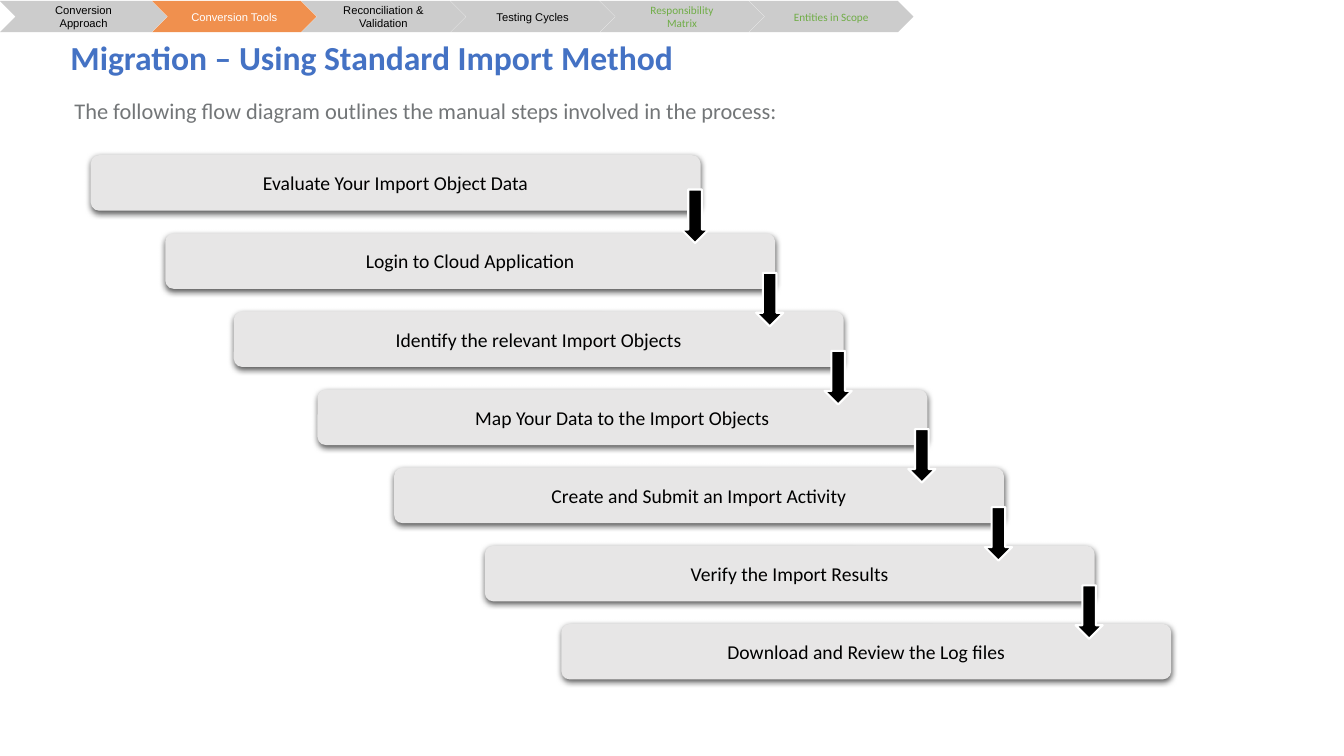
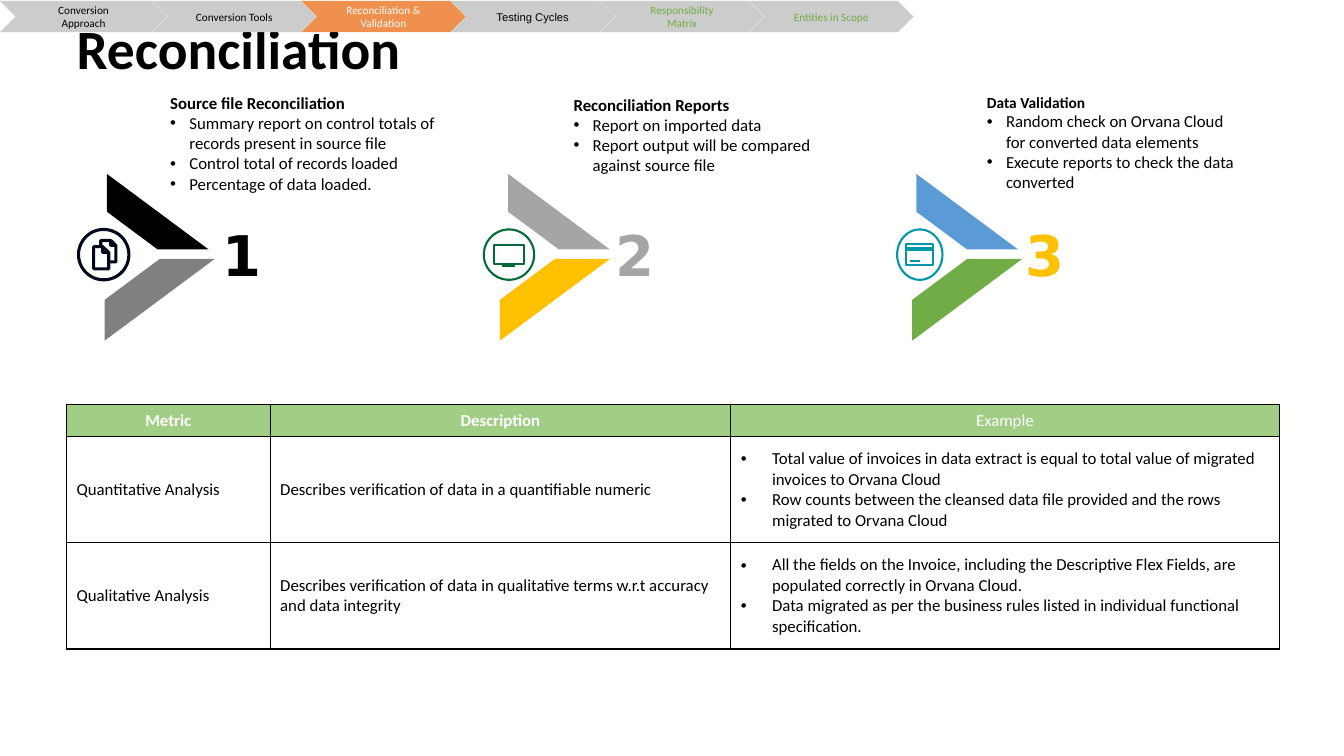
from dataclasses import dataclass

from lxml import etree
from pptx import Presentation
from pptx.dml.color import RGBColor
from pptx.enum.shapes import MSO_SHAPE
from pptx.enum.text import MSO_ANCHOR, MSO_AUTO_SIZE, PP_ALIGN
from pptx.oxml.ns import qn
from pptx.util import Pt

CHEVRON, STRIPE, OVAL = MSO_SHAPE.CHEVRON, MSO_SHAPE.DIAGONAL_STRIPE, MSO_SHAPE.OVAL
ROUNDED, DOWN_ARROW = MSO_SHAPE.ROUNDED_RECTANGLE, MSO_SHAPE.DOWN_ARROW
TOP, MIDDLE = MSO_ANCHOR.TOP, MSO_ANCHOR.MIDDLE
LEFT, CENTER, JUSTIFY = PP_ALIGN.LEFT, PP_ALIGN.CENTER, PP_ALIGN.JUSTIFY
NO_AUTOFIT = MSO_AUTO_SIZE.NONE


@dataclass(frozen=True)
class Theme:
    """Colours, fonts and type sizes of the deck."""
    black: str = "000000"
    white: str = "FFFFFF"
    blue: str = "4472C4"
    sky: str = "5B9BD5"
    green: str = "70AD47"
    pale_green: str = "A1CD84"
    gold: str = "FFC000"
    orange: str = "F0904E"
    text_grey: str = "737678"
    dark_grey: str = "808080"
    mid_grey: str = "A5A5A5"
    nav_grey: str = "CCCCCC"
    step_grey: str = "E7E6E6"
    navy: str = "00081A"
    forest: str = "046A38"
    teal: str = "0097A9"
    font: str = "Calibri"
    nav_font: str = "Arial"
    number_font: str = "DejaVu Sans"
    large_title: float = 39.6
    number: float = 40
    title: float = 24
    intro: float = 16
    step: float = 14
    body: float = 12
    small_heading: float = 11
    nav: float = 8


THEME = Theme()


@dataclass(frozen=True)
class Box:
    """A rectangle in points."""
    left: float
    top: float
    width: float
    height: float

    def inside(self, x, y, width, height):
        """Return a box offset from this one's corner."""
        return Box(self.left + x, self.top + y, width, height)

    def lengths(self):
        """Return left, top, width and height as lengths."""
        return Pt(self.left), Pt(self.top), Pt(self.width), Pt(self.height)


@dataclass(frozen=True)
class Panel:
    """Content, colours and offsets of one reconciliation panel."""
    left: float
    lower_x: float
    upper_x: float
    number_x: float
    text_x: float
    text_y: float
    text_width: float
    ring_width: float
    upper_color: str
    lower_color: str
    number_color: str
    icon_color: str
    icon_weight: float
    icon_lines: tuple
    heading: str
    heading_size: float
    points: tuple


NAV_LABELS = ("Conversion Approach", "Conversion Tools", "Reconciliation & Validation",
              "Testing Cycles", "Responsibility Matrix", "Entities in Scope")
NAV_BOX = Box(0, 0.7, 652.5, 22.3)
STEPS = (("Evaluate Your Import Object Data", 0, 24.5),
         ("Login to Cloud Application", 53.3, 28.2),
         ("Identify the relevant Import Objects", 102.2, 28.2),
         ("Map Your Data to the Import Objects", 162, 28.2),
         ("Create and Submit an Import Activity", 216.7, 28.2),
         ("Verify the Import Results", 281.5, 28.2),
         ("Download and Review the Log files", 336.2, None))
PAGES_ICON = (((16.6, 13), (16.6, 8.6), (23.8, 8.6), (27.4, 12.2), (27.4, 23.8), (22.3, 23.8)),
              ((23.8, 8.6), (23.8, 12.2), (27.4, 12.2)),
              ((11.5, 13), (18, 13), (22.3, 17.3), (22.3, 28.8), (11.5, 28.8), (11.5, 13)),
              ((18, 13), (18, 17.3), (22.3, 17.3)))
SCREEN_ICON = (((7.9, 11.5), (29.5, 11.5), (29.5, 25.2), (7.9, 25.2), (7.9, 11.5)),
               ((13.7, 26.6), (23, 26.6)))
CARD_ICON = (((7.2, 10.8), (26.6, 10.8), (26.6, 25.9), (7.2, 25.9), (7.2, 10.8)),
             ((7.2, 13.7), (26.6, 13.7)), ((7.2, 15.1), (26.6, 15.1)),
             ((9.7, 23), (16.9, 23)))
PANELS = (
    Panel(55.4, 19.4, 20.9, 100.8, 66.2, 0, 202.3, 37.4,
          THEME.black, THEME.dark_grey, THEME.black, THEME.navy, 2.2, PAGES_ICON,
          "Source file Reconciliation", THEME.body,
          ("Summary report on control totals of records present in source file",
           "Control total of records loaded", "Percentage of data loaded.")),
    Panel(344.9, 12.2, 18, 92.2, 64.8, 1.4, 180.7, 37.4,
          THEME.mid_grey, THEME.gold, THEME.mid_grey, THEME.forest, 1.5, SCREEN_ICON,
          "Reconciliation Reports", THEME.body,
          ("Report on imported data", "Report output will be compared against source file")),
    Panel(640.1, 11.5, 14.4, 89.3, 64.8, 0, 185.8, 33.8,
          THEME.sky, THEME.green, THEME.gold, THEME.teal, 1.5, CARD_ICON,
          "Data Validation", THEME.small_heading,
          ("Random check on Orvana Cloud for converted data elements",
           "Execute reports to check the data converted")))
TABLE_ROWS = (
    (("Metric",), ("Description",), ("Example",)),
    (("Quantitative Analysis",),
     ("Describes verification of data in a quantifiable numeric",),
     ("Total value of invoices in data extract is equal to total value of migrated "
      "invoices to Orvana Cloud",
      "Row counts between the cleansed data file provided and the rows migrated to "
      "Orvana Cloud")),
    (("Qualitative Analysis",),
     ("Describes verification of data in qualitative terms w.r.t accuracy and data integrity",),
     ("All the fields on the Invoice, including the Descriptive Flex Fields, are populated "
      "correctly in Orvana Cloud.",
      "Data migrated as per the business rules listed in individual functional "
      "specification.")))
COLUMN_SHARES = (2.02, 4.57, 5.44)
ROW_HEIGHTS = (23.3, 75.8, 75.8)


def rgb(color):
    """Return a colour object for a hex string."""
    return RGBColor.from_string(color)


def style(paragraph, size, color, font=THEME.font, bold=False, align=LEFT):
    """Format one paragraph."""
    paragraph.alignment = align
    paragraph.font.size, paragraph.font.name, paragraph.font.bold = Pt(size), font, bold
    paragraph.font.color.rgb = rgb(color)


def set_bullet(paragraph, indent):
    """Give a paragraph a hanging bullet, or none when the indent is zero."""
    properties = paragraph._p.get_or_add_pPr()
    properties.set("marL", str(Pt(indent)))
    properties.set("indent", str(-Pt(indent)))
    if indent:
        etree.SubElement(properties, qn("a:buFont"), typeface="Arial")
        etree.SubElement(properties, qn("a:buChar"), char="•")
    else:
        etree.SubElement(properties, qn("a:buNone"))


def set_frame(frame, margins=(7.2, 3.6), anchor=TOP):
    """Set wrapping, margins and anchor of a text frame."""
    frame.word_wrap, frame.auto_size, frame.vertical_anchor = True, NO_AUTOFIT, anchor
    frame.margin_left = frame.margin_right = Pt(margins[0])
    frame.margin_top = frame.margin_bottom = Pt(margins[1])


def place(shape, box):
    """Move and size a shape."""
    shape.left, shape.top, shape.width, shape.height = box.lengths()


def add_preset(slide, kind, box, fill):
    """Add a flat preset shape without outline."""
    shape = slide.shapes.add_shape(kind, *box.lengths())
    shape.shadow.inherit = False
    shape.fill.solid()
    shape.fill.fore_color.rgb = rgb(fill)
    shape.line.fill.background()
    return shape


def add_shadow(shape):
    """Add a soft shadow below a shape."""
    effects = shape.element.spPr.find(qn("a:effectLst"))
    shadow = etree.SubElement(effects, qn("a:outerShdw"), blurRad=str(Pt(4.5)),
                              dist=str(Pt(1.5)), dir="5400000", rotWithShape="0")
    color = etree.SubElement(shadow, qn("a:srgbClr"), val=THEME.black)
    etree.SubElement(color, qn("a:alpha"), val="63000")


def add_title(slide, box, text, size, color, margins, anchor):
    """Fill the title placeholder."""
    title = slide.shapes.title
    place(title, box)
    set_frame(title.text_frame, margins, anchor)
    title.text_frame.text = text
    paragraph = title.text_frame.paragraphs[0]
    paragraph.line_spacing = 0.9
    style(paragraph, size, color, bold=True)


def add_navigation(slide, box, active, leading_font):
    """Draw the chevron trail with one active entry."""
    pitch, overlap = 106.6, 10.8
    first_width = box.width - pitch * (len(NAV_LABELS) - 1)
    for index, label in enumerate(NAV_LABELS):
        x = first_width + pitch * (index - 1) - overlap if index else 0
        width = pitch + overlap if index else first_width
        fill = THEME.orange if index == active else THEME.nav_grey
        chevron = add_preset(slide, CHEVRON, box.inside(x, 0, width, box.height), fill)
        set_frame(chevron.text_frame, (14.4, 14.4), MIDDLE)
        chevron.text_frame.text = label
        color = THEME.green if index > 3 else THEME.white if index == active else THEME.black
        font = THEME.font if index > 3 else THEME.nav_font if index == 3 else leading_font
        style(chevron.text_frame.paragraphs[0], THEME.nav, color, font, align=CENTER)


def add_staircase(slide, box):
    """Draw the process steps and the arrows that join them."""
    width, height, pitch = 435.6, 39.6, 55.8
    for index, (label, x, _) in enumerate(STEPS):
        step = add_preset(slide, ROUNDED, box.inside(x, index * pitch, width, height),
                          THEME.step_grey)
        step.adjustments[0] = 0.15
        add_shadow(step)
        set_frame(step.text_frame, anchor=MIDDLE)
        step.text_frame.text = label
        style(step.text_frame.paragraphs[0], THEME.step, THEME.black, align=CENTER)
    for index, (_, x, drop) in enumerate(STEPS[:-1]):
        arrow = add_preset(slide, DOWN_ARROW,
                           box.inside(x + 422, index * pitch + drop, 19.4, 38.2), THEME.black)
        arrow.line.color.rgb = rgb(THEME.white)
        arrow.line.width = Pt(1.5)


def add_icon(slide, box, lines, color, weight):
    """Draw a ringed line icon."""
    ring = slide.shapes.add_shape(OVAL, *box.inside(
        0.7, 0.7, box.width - 1.4, box.height - 1.4).lengths())
    contours = [[(Pt(box.left + x), Pt(box.top + y)) for x, y in line] for line in lines]
    builder = slide.shapes.build_freeform(*contours[0][0])
    for contour in contours:
        builder.move_to(*contour[0])
        builder.add_line_segments(contour[1:], close=False)
    for shape in (ring, builder.convert_to_shape()):
        shape.shadow.inherit = False
        shape.fill.background()
        shape.line.color.rgb = rgb(color)
        shape.line.width = Pt(weight)


def add_panel(slide, box, panel, number, body):
    """Draw one numbered panel and fill its list placeholder."""
    place(body, box.inside(panel.text_x, panel.text_y, panel.text_width, 73))
    set_frame(body.text_frame, (0, 0))
    body.text_frame.text = "\n".join((panel.heading, *panel.points))
    for index, paragraph in enumerate(body.text_frame.paragraphs):
        set_bullet(paragraph, 13.7 if index else 0)
        paragraph.space_before = Pt(0)
        style(paragraph, THEME.body if index else panel.heading_size, THEME.black,
              bold=not index)
    add_preset(slide, STRIPE, box.inside(panel.lower_x, 118.8, 78.5, 58.3), panel.lower_color)
    upper = add_preset(slide, STRIPE, box.inside(panel.upper_x, 58, 72.7, 54),
                       panel.upper_color)
    upper.element.spPr.get_or_add_xfrm().set("flipV", "1")
    add_icon(slide, box.inside(0, 97, panel.ring_width, 37.4), panel.icon_lines,
             panel.icon_color, panel.icon_weight)
    label = slide.shapes.add_textbox(*box.inside(panel.number_x, 88.4, 34, 54).lengths())
    set_frame(label.text_frame, (2.9, 2.9))
    label.text_frame.text = str(number)
    style(label.text_frame.paragraphs[0], THEME.number, panel.number_color,
          THEME.number_font, bold=True)


def set_borders(cell):
    """Draw thin black lines on all sides of a cell."""
    properties = cell._tc.get_or_add_tcPr()
    for side in ("a:lnL", "a:lnR", "a:lnT", "a:lnB"):
        line = etree.SubElement(properties, qn(side), w=str(Pt(1)))
        fill = etree.SubElement(line, qn("a:solidFill"))
        etree.SubElement(fill, qn("a:srgbClr"), val=THEME.black)


def add_metrics_table(slide, box):
    """Draw the table of metrics."""
    table = slide.shapes.add_table(len(TABLE_ROWS), len(COLUMN_SHARES), *box.lengths()).table
    for column, share in zip(table.columns, COLUMN_SHARES):
        column.width = Pt(box.width * share / sum(COLUMN_SHARES))
    for row_index, (row, height) in enumerate(zip(TABLE_ROWS, ROW_HEIGHTS)):
        table.rows[row_index].height = Pt(height)
        header = row_index == 0
        for column_index, lines in enumerate(row):
            cell = table.cell(row_index, column_index)
            set_borders(cell)
            cell.fill.solid()
            cell.fill.fore_color.rgb = rgb(THEME.pale_green if header else THEME.white)
            cell.vertical_anchor = MIDDLE
            cell.text_frame.text = "\n".join(lines)
            for paragraph in cell.text_frame.paragraphs:
                if len(lines) > 1:
                    set_bullet(paragraph, 22.3)
                style(paragraph, THEME.body, THEME.white if header else THEME.black,
                      bold=header and column_index < 2, align=CENTER if header else LEFT)


def build_migration_slide(presentation):
    """Build the slide with the import steps."""
    slide = presentation.slides.add_slide(
        presentation.slide_layouts.get_by_name("Title and Content"))
    add_title(slide, Box(46, 27.4, 748.8, 48.2), "Migration – Using Standard Import Method",
              THEME.title, THEME.blue, (4.3, 2.2), TOP)
    intro = slide.placeholders[1]
    place(intro, Box(46, 65.5, 897.8, 26.6))
    set_frame(intro.text_frame)
    intro.text_frame.text = ("The following flow diagram outlines the manual steps "
                             "involved in the process:")
    paragraph = intro.text_frame.paragraphs[0]
    set_bullet(paragraph, 0)
    paragraph.space_before = Pt(0)
    style(paragraph, THEME.intro, THEME.text_grey, align=JUSTIFY)
    add_staircase(slide, Box(64.8, 110.9, 771.8, 374.4))
    add_navigation(slide, NAV_BOX, 1, THEME.nav_font)


def build_reconciliation_slide(presentation):
    """Build the slide with three panels and the metrics table."""
    slide = presentation.slides.add_slide(
        presentation.slide_layouts.get_by_name("Comparison"))
    add_title(slide, Box(47.5, 16.6, 269.3, 41), "Reconciliation",
              THEME.large_title, THEME.black, (7.2, 3.6), MIDDLE)
    *bodies, spare = list(slide.placeholders)[1:]
    spare.element.getparent().remove(spare.element)
    add_metrics_table(slide, Box(47.5, 288.7, 866.2, sum(ROW_HEIGHTS)))
    for number, (panel, body) in enumerate(zip(PANELS, bodies), start=1):
        add_panel(slide, Box(panel.left, 66.2, 268.5, 177.1), panel, number, body)
    add_navigation(slide, NAV_BOX, 2, THEME.font)


def main():
    """Build and save the deck."""
    presentation = Presentation()
    presentation.slide_width, presentation.slide_height = Pt(960), Pt(540)
    build_migration_slide(presentation)
    build_reconciliation_slide(presentation)
    presentation.save("out.pptx")


if __name__ == "__main__":
    main()
